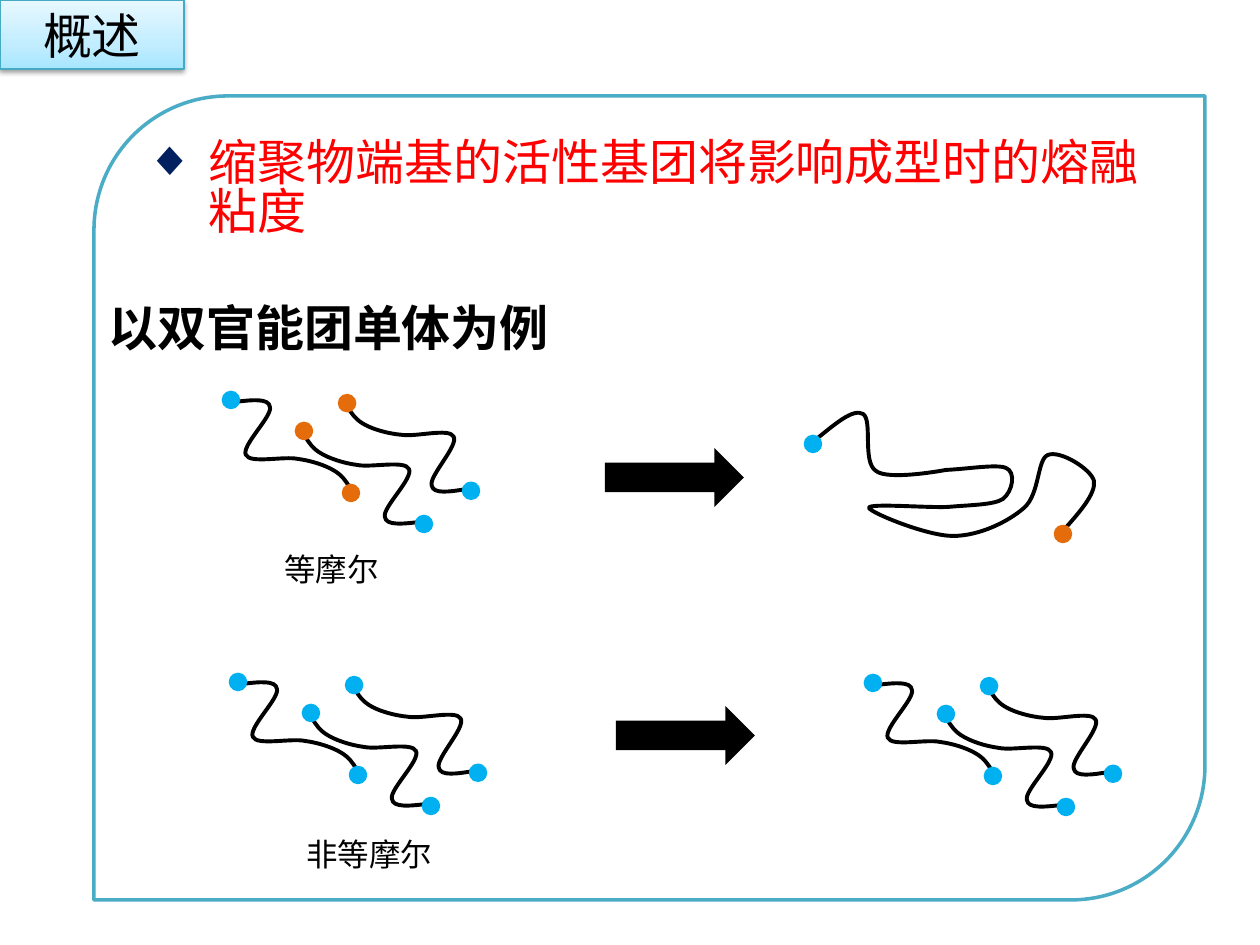
"""Build a slide on how reactive end groups of polycondensates affect melt viscosity."""

from math import cos, radians, sin

from lxml.etree import SubElement
from pptx import Presentation
from pptx.dml.color import RGBColor
from pptx.enum.shapes import MSO_SHAPE
from pptx.enum.text import MSO_ANCHOR, MSO_AUTO_SIZE, PP_ALIGN
from pptx.oxml import parse_xml
from pptx.oxml.ns import nsdecls, qn
from pptx.util import Emu, Pt

BLACK = RGBColor(0x00, 0x00, 0x00)
RED = RGBColor(0xFF, 0x00, 0x00)
NAVY = RGBColor(0x00, 0x20, 0x60)
BLUE = RGBColor(0x00, 0xB0, 0xF0)
ORANGE = RGBColor(0xE4, 0x6C, 0x0A)
FRAME_LINE = RGBColor(0x4B, 0xAC, 0xC6)
TAB_LINE = RGBColor(0x46, 0xAA, 0xC5)
TAB_STOPS = [
    (0, RGBColor(0xA7, 0xE6, 0xFF)),
    (35, RGBColor(0xC1, 0xED, 0xFF)),
    (100, RGBColor(0xE7, 0xF8, 0xFF)),
]

CJK = "Noto Sans CJK SC"
LATIN = "Arial"
SLIDE_SIZE = (1260, 945)
DOT = 15
ARROW_SIZE = (139, 59)

TITLE = ("概述", (0, 0, 184, 69))
BODY = ("缩聚物端基的活性基团将影响成型时的熔融粘度", (94, 96, 1111, 804))
LABELS = [
    ("以双官能团单体为例", (96, 291, 473, 72), 28, CJK, True),
    ("等摩尔", (272, 544, 121, 50), 18, LATIN, False),
    ("非等摩尔", (294, 829, 152, 50), 18, LATIN, False),
]
ARROWS = [(605, 448), (616, 706)]

STRAND = [
    (0, 0), (17, -2), (34, -4), (35, 5), (38, 14), (6, 44), (11, 53), (15, 62),
    (49, 54), (63, 57), (78, 59), (91, 64), (98, 68), (107, 73), (111, 79), (115, 86),
]
STRAND_ENDS = [(-4, -2), (116, 91)]
STRAND_STARTS = [(232, 87, 177.5), (185, 120, 180), (0, 0, 0)]
BUNDLES = [(242, 684, BLUE), (235, 402, ORANGE), (877, 685, BLUE)]

LONG_CHAIN = [
    (814, 441), (834, 425), (853, 408), (863, 414), (873, 420), (862, 462), (876, 471),
    (888, 481), (946, 470), (946, 470), (968, 469), (997, 464), (1006, 468),
    (1016, 472), (1013, 491), (1003, 499), (994, 505), (970, 505), (948, 507),
    (926, 508), (868, 503), (869, 508), (871, 513), (927, 536), (953, 536),
    (979, 536), (1008, 522), (1024, 508), (1040, 494), (1037, 459), (1048, 455),
    (1060, 450), (1091, 469), (1094, 481), (1096, 494), (1079, 513), (1062, 532),
]
LONG_CHAIN_ENDS = [(813, 444), (1063, 534)]


def px(value):
    return Emu(round(value * 914400 / 126))


def place(shape, box):
    shape.left, shape.top, shape.width, shape.height = map(px, box)


def round_diagonal(shape):
    shape._element.spPr.append(parse_xml(
        f'<a:prstGeom {nsdecls("a")} prst="round2DiagRect"><a:avLst/></a:prstGeom>'))


def add_run(paragraph, text, size, font_name, color, bold=False):
    run = paragraph.add_run()
    run.text = text
    font = run.font
    font.size, font.name, font.bold = Pt(size), font_name, bold
    font.color.rgb = color
    if font_name == CJK:
        SubElement(run._r.get_or_add_rPr(), qn("a:ea"), typeface=font_name)


def paint(shape, color, line_color=None, line_width=2):
    shape.shadow.inherit = False
    shape.fill.solid()
    shape.fill.fore_color.rgb = color
    if line_color is None:
        shape.line.fill.background()
    else:
        shape.line.color.rgb = line_color
        shape.line.width = Pt(line_width)


def fill_title(shape):
    text, box = TITLE
    place(shape, box)
    round_diagonal(shape)
    stops = "".join(
        f'<a:gs pos="{position * 1000}"><a:srgbClr val="{color}"/></a:gs>'
        for position, color in TAB_STOPS)
    properties = shape._element.spPr
    properties.append(parse_xml(
        f'<a:gradFill {nsdecls("a")}><a:gsLst>{stops}</a:gsLst>'
        '<a:lin ang="16200000" scaled="0"/></a:gradFill>'))
    shape.line.color.rgb = TAB_LINE
    shape.line.width = Pt(0.75)
    properties.append(parse_xml(
        f'<a:effectLst {nsdecls("a")}><a:outerShdw blurRad="{Pt(3.1)}" dist="{Pt(1.6)}"'
        ' dir="5400000" rotWithShape="0"><a:srgbClr val="000000"><a:alpha val="38000"/>'
        '</a:srgbClr></a:outerShdw></a:effectLst>'))
    frame = shape.text_frame
    frame.auto_size = MSO_AUTO_SIZE.NONE
    frame.vertical_anchor = MSO_ANCHOR.MIDDLE
    paragraph = frame.paragraphs[0]
    paragraph.alignment = PP_ALIGN.CENTER
    add_run(paragraph, text, 28, CJK, BLACK)


def fill_body(shape):
    text, box = BODY
    place(shape, box)
    round_diagonal(shape)
    shape.fill.background()
    shape.line.color.rgb = FRAME_LINE
    shape.line.width = Pt(2)
    frame = shape.text_frame
    frame.auto_size = MSO_AUTO_SIZE.NONE
    frame.vertical_anchor = MSO_ANCHOR.TOP
    paragraph = frame.paragraphs[0]
    properties = paragraph._p.get_or_add_pPr()
    properties.set("marL", str(px(63)))
    properties.set("indent", str(px(-63)))
    bullet_color = SubElement(properties, qn("a:buClr"))
    SubElement(bullet_color, qn("a:srgbClr"), val=str(NAVY))
    SubElement(properties, qn("a:buFont"), typeface=LATIN)
    SubElement(properties, qn("a:buChar"), char="◆")
    paragraph.space_before = Pt(0)
    paragraph.line_spacing = 0.83
    add_run(paragraph, text, 28, CJK, RED)


def add_curve(shapes, points):
    builder = shapes.build_freeform(*map(px, points[0]), scale=1.0)
    builder.add_line_segments([(px(x), px(y)) for x, y in points[1:]], close=False)
    shape = builder.convert_to_shape()
    segments = list(shape._element.iter(qn("a:lnTo")))
    outline = segments[0].getparent()
    for first in range(0, len(segments), 3):
        curve = SubElement(outline, qn("a:cubicBezTo"))
        for segment in segments[first:first + 3]:
            curve.append(segment[0])
            outline.remove(segment)
    shape.shadow.inherit = False
    shape.fill.background()
    shape.line.color.rgb = BLACK
    shape.line.width = Pt(2.25)


def add_chain(shapes, points, ends, colors):
    add_curve(shapes, points)
    for (x, y), color in zip(ends, colors):
        box = (x - DOT / 2, y - DOT / 2, DOT, DOT)
        paint(shapes.add_shape(MSO_SHAPE.OVAL, *map(px, box)), color, color)


def turn(points, x, y, degrees):
    c, s = cos(radians(degrees)), sin(radians(degrees))
    return [(x + c * u - s * v, y + s * u + c * v) for u, v in points]


def main():
    presentation = Presentation()
    presentation.slide_width, presentation.slide_height = map(px, SLIDE_SIZE)
    slide = presentation.slides.add_slide(presentation.slide_layouts[1])
    shapes = slide.shapes
    title, body = slide.placeholders
    fill_body(body)
    fill_title(title)

    for corner in ARROWS:
        paint(shapes.add_shape(MSO_SHAPE.RIGHT_ARROW, *map(px, corner + ARROW_SIZE)), BLACK)

    for text, box, size, font_name, bold in LABELS:
        frame = shapes.add_textbox(*map(px, box)).text_frame
        frame.word_wrap = False
        frame.auto_size = MSO_AUTO_SIZE.SHAPE_TO_FIT_TEXT
        add_run(frame.paragraphs[0], text, size, font_name, BLACK, bold)

    for left, top, end_color in BUNDLES:
        bundle = shapes.add_group_shape().shapes
        for x, y, degrees in STRAND_STARTS:
            position = (left + x, top + y, degrees)
            add_chain(bundle, turn(STRAND, *position), turn(STRAND_ENDS, *position),
                      (BLUE, end_color))

    add_chain(shapes.add_group_shape().shapes, LONG_CHAIN, LONG_CHAIN_ENDS, (BLUE, ORANGE))
    presentation.save("out.pptx")


if __name__ == "__main__":
    main()
